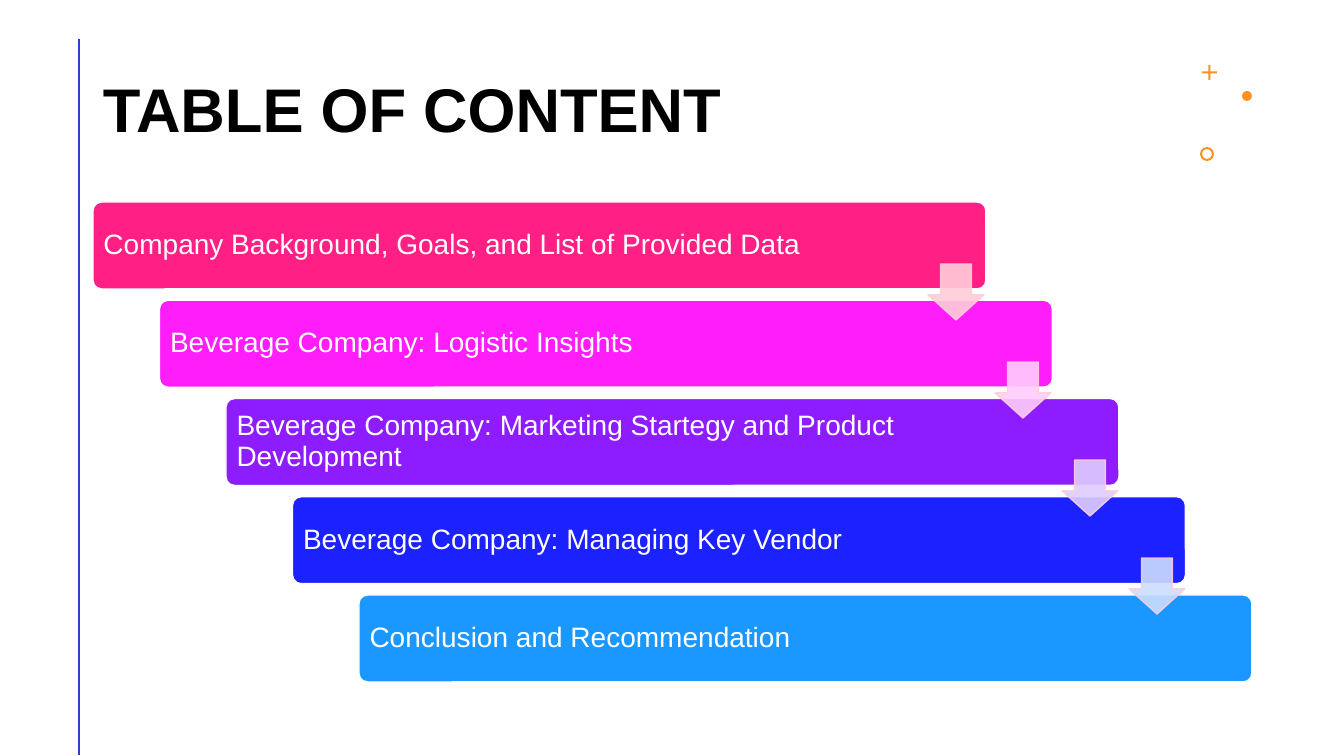
from lxml import etree
from pptx import Presentation
from pptx.dml.color import RGBColor
from pptx.enum.shapes import MSO_CONNECTOR, MSO_SHAPE
from pptx.enum.text import MSO_ANCHOR, PP_ALIGN
from pptx.oxml.ns import qn
from pptx.util import Emu, Pt

ROUNDED = MSO_SHAPE.ROUNDED_RECTANGLE
DOWN_ARROW = MSO_SHAPE.DOWN_ARROW
PLUS, DOT, RING = MSO_SHAPE.CROSS, MSO_SHAPE.OVAL, MSO_SHAPE.DONUT
STRAIGHT = MSO_CONNECTOR.STRAIGHT
MIDDLE, LEFT = MSO_ANCHOR.MIDDLE, PP_ALIGN.LEFT

BLACK = RGBColor(0x00, 0x00, 0x00)
WHITE = RGBColor(0xFF, 0xFF, 0xFF)
ORANGE = RGBColor(0xFF, 0x90, 0x22)
RULE_BLUE = RGBColor(0x2B, 0x3B, 0xE0)
ARROW_EDGE = RGBColor(0xFF, 0xCD, 0xD9)

# Content
TITLE = "TABLE OF CONTENT"
STEPS = [  # text, bar colour
    ("Company Background, Goals, and List of Provided Data", RGBColor(0xFF, 0x1F, 0x85)),
    ("Beverage Company: Logistic Insights", RGBColor(0xFF, 0x1E, 0xFA)),
    ("Beverage Company: Marketing Startegy and Product Development", RGBColor(0x8D, 0x1D, 0xFF)),
    ("Beverage Company: Managing Key Vendor", RGBColor(0x1B, 0x21, 0xFF)),
    ("Conclusion and Recommendation", RGBColor(0x1A, 0x98, 0xFF)),
]
ARROW_COLORS = [
    RGBColor(0xFF, 0xCD, 0xD9),
    RGBColor(0xFF, 0xCD, 0xFC),
    RGBColor(0xDF, 0xCD, 0xFF),
    RGBColor(0xCC, 0xDD, 0xFF),
]
ORNAMENTS = [  # shape, left, top, size, adjustments
    (PLUS, 1202, 65, 15, [0.43]),
    (DOT, 1242, 91, 10, []),
    (RING, 1200, 147, 14, [0.15]),
]

# Layout in px
SLIDE_WIDTH, SLIDE_HEIGHT = 1344, 756
TITLE_BOX = (93, 40, 1085, 146)
RULE_X, RULE_TOP, RULE_BOTTOM = 79, 39, 755
BAR_WIDTH, BAR_HEIGHT = 893, 87
FIRST_BAR, LAST_BAR = (93, 202), (359, 595)
BAR_INSETS = (8, 8, 131, 8)
ARROW_SIZE = 56
FIRST_ARROW, LAST_ARROW = (928, 264), (1129, 558)


def px(length):
    return Emu(round(length * 914400 / 100.8))


def spread(first, last, count):
    """Evenly spaced points from first to last."""
    return [
        tuple(a + (b - a) * index / (count - 1) for a, b in zip(first, last))
        for index in range(count)
    ]


def write_text(shape, text, size, color, bold=False, insets=(10, 5, 10, 5)):
    frame = shape.text_frame
    frame.word_wrap = True
    frame.vertical_anchor = MIDDLE
    frame.margin_left, frame.margin_top, frame.margin_right, frame.margin_bottom = map(px, insets)
    paragraph = frame.paragraphs[0]
    paragraph.alignment = LEFT
    paragraph.line_spacing = 0.9
    run = paragraph.add_run()
    run.text = text
    run.font.name = "Arial"
    run.font.size = Pt(size)
    run.font.bold = bold
    run.font.color.rgb = color


def add_figure(slide, kind, box, fill, line=None, adjustments=()):
    shape = slide.shapes.add_shape(kind, *map(px, box))
    shape.shadow.inherit = False
    for index, value in enumerate(adjustments):
        shape.adjustments[index] = value
    shape.fill.solid()
    shape.fill.fore_color.rgb = fill
    if line is None:
        shape.line.fill.background()
    else:
        shape.line.color.rgb = line
        shape.line.width = Pt(1)
    return shape


def set_opacity(shape, percent):
    properties = shape._element.spPr
    for color in properties.iter(qn("a:srgbClr")):
        etree.SubElement(color, qn("a:alpha")).set("val", str(percent * 1000))


def build():
    presentation = Presentation()
    presentation.slide_width = px(SLIDE_WIDTH)
    presentation.slide_height = px(SLIDE_HEIGHT)
    slide = presentation.slides.add_slide(presentation.slide_layouts[6])

    # Title and vertical rule
    title = slide.shapes.add_textbox(*map(px, TITLE_BOX))
    write_text(title, TITLE, 44, BLACK, bold=True)
    rule = slide.shapes.add_connector(
        STRAIGHT, px(RULE_X), px(RULE_TOP), px(RULE_X), px(RULE_BOTTOM))
    rule.line.color.rgb = RULE_BLUE
    rule.line.width = Pt(2)
    etree.SubElement(rule._element.spPr, qn("a:effectLst"))

    # Corner ornaments
    for kind, left, top, size, adjustments in ORNAMENTS:
        add_figure(slide, kind, (left, top, size, size), ORANGE, adjustments=adjustments)

    # Staircase of bars
    for (text, color), corner in zip(STEPS, spread(FIRST_BAR, LAST_BAR, len(STEPS))):
        bar = add_figure(slide, ROUNDED, (*corner, BAR_WIDTH, BAR_HEIGHT), color, WHITE, [0.1])
        write_text(bar, text, 20, WHITE, insets=BAR_INSETS)

    # Arrows between the bars
    arrow_corners = spread(FIRST_ARROW, LAST_ARROW, len(ARROW_COLORS))
    for color, corner in zip(ARROW_COLORS, arrow_corners):
        arrow = add_figure(slide, DOWN_ARROW, (*corner, ARROW_SIZE, ARROW_SIZE),
                           color, ARROW_EDGE, [0.55, 0.45])
        set_opacity(arrow, 90)

    presentation.save("out.pptx")


if __name__ == "__main__":
    build()
